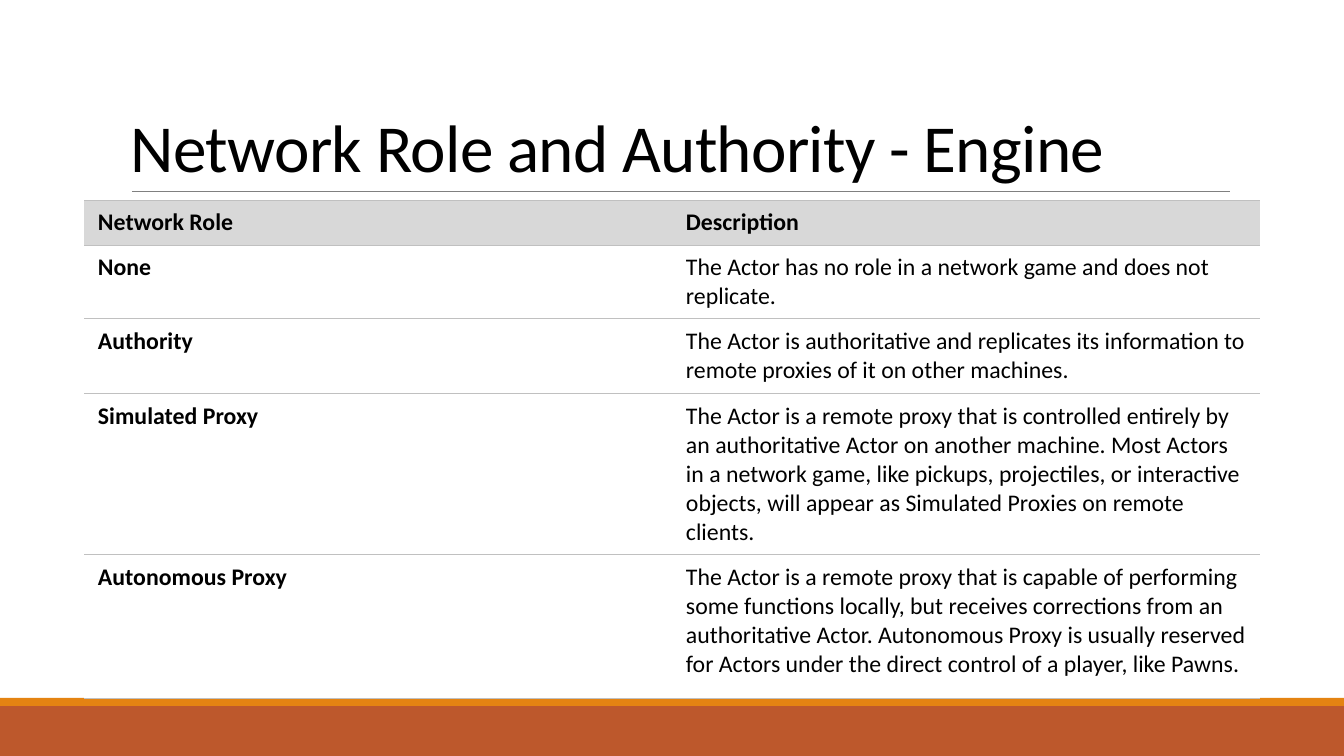
from lxml.etree import SubElement
from pptx import Presentation
from pptx.dml.color import RGBColor
from pptx.enum.shapes import MSO_CONNECTOR, MSO_SHAPE
from pptx.enum.text import MSO_ANCHOR
from pptx.oxml.ns import qn
from pptx.util import Emu, Pt

EMU_PER_PX = 914400 / 100.8
COLORS = {
    "text": "000000",
    "footer": "BD582C",
    "accent": "E48312",
    "title rule": "808080",
    "row rule": "C0C0C0",
    "header": "D8D8D8",
    "body": "FFFFFF",
}
ROLES = [
    ("Network Role", "Description"),
    ("None", "The Actor has no role in a network game and does not replicate."),
    ("Authority", "The Actor is authoritative and replicates its information to "
     "remote proxies of it on other machines."),
    ("Simulated Proxy", "The Actor is a remote proxy that is controlled entirely by "
     "an authoritative Actor on another machine. Most Actors in a network game, "
     "like pickups, projectiles, or interactive objects, will appear as "
     "Simulated Proxies on remote clients."),
    ("Autonomous Proxy", "The Actor is a remote proxy that is capable of performing "
     "some functions locally, but receives corrections from an authoritative Actor. "
     "Autonomous Proxy is usually reserved for Actors under the direct control of "
     "a player, like Pawns."),
]
ROW_HEIGHTS = [45, 74, 75, 161, 144]
COLUMN_WIDTH = 588


def px(*lengths):
    """Turn pixel lengths into a list of EMU."""
    return [Emu(round(length * EMU_PER_PX)) for length in lengths]


def color(name):
    return RGBColor.from_string(COLORS[name])


presentation = Presentation()
presentation.slide_width, presentation.slide_height = px(1344, 756)
slide = presentation.slides.add_slide(presentation.slide_layouts[6])

# Footer bands
for name, top, height in [("footer", 706, 50), ("accent", 698, 8)]:
    band = slide.shapes.add_shape(MSO_SHAPE.RECTANGLE, *px(0, top, 1344, height))
    band.shadow.inherit = False
    band.fill.solid()
    band.fill.fore_color.rgb = color(name)
    band.line.fill.background()

# Title and its rule
rule = slide.shapes.add_connector(MSO_CONNECTOR.STRAIGHT, *px(132, 191, 1230, 191))
rule.line.color.rgb = color("title rule")
rule.line.width = Pt(0.5)
SubElement(rule._element.spPr, qn("a:effectLst"))

title = slide.shapes.add_textbox(*px(121, 31, 1109, 160))
title.text_frame.word_wrap = True
title.text_frame.vertical_anchor = MSO_ANCHOR.BOTTOM
paragraph = title.text_frame.paragraphs[0]
paragraph.line_spacing = 0.85
run = paragraph.add_run()
run.text = "Network Role and Authority - Engine"
run.font.name = "Calibri"
run.font.size = Pt(48)
run.font.color.rgb = color("text")
run.font._element.set("spc", "-50")

# Role table
table = slide.shapes.add_table(
    len(ROLES), 2, *px(84, 200, 2 * COLUMN_WIDTH, sum(ROW_HEIGHTS))
).table
table.first_row = table.horz_banding = False
for column in table.columns:
    column.width, = px(COLUMN_WIDTH)

for row_index, (texts, height) in enumerate(zip(ROLES, ROW_HEIGHTS)):
    table.rows[row_index].height, = px(height)
    for column_index, text in enumerate(texts):
        cell = table.cell(row_index, column_index)
        cell.margin_left, cell.margin_right = px(14, 14)
        cell.margin_top, cell.margin_bottom = px(8, 8)
        cell.text = text
        font = cell.text_frame.paragraphs[0].font
        font.name = "Calibri"
        font.size = Pt(17)
        font.bold = row_index == 0 or column_index == 0
        font.color.rgb = color("text")

        # Borders have to come before the fill in the cell properties
        properties = cell._tc.get_or_add_tcPr()
        for side in ("lnL", "lnR"):
            SubElement(SubElement(properties, qn(f"a:{side}")), qn("a:noFill"))
        for side in ("lnT", "lnB"):
            line = SubElement(properties, qn(f"a:{side}"), w=str(Pt(0.75)))
            fill = SubElement(line, qn("a:solidFill"))
            SubElement(fill, qn("a:srgbClr"), val=COLORS["row rule"])
        cell.fill.solid()
        cell.fill.fore_color.rgb = color("body" if row_index else "header")

presentation.save("out.pptx")
